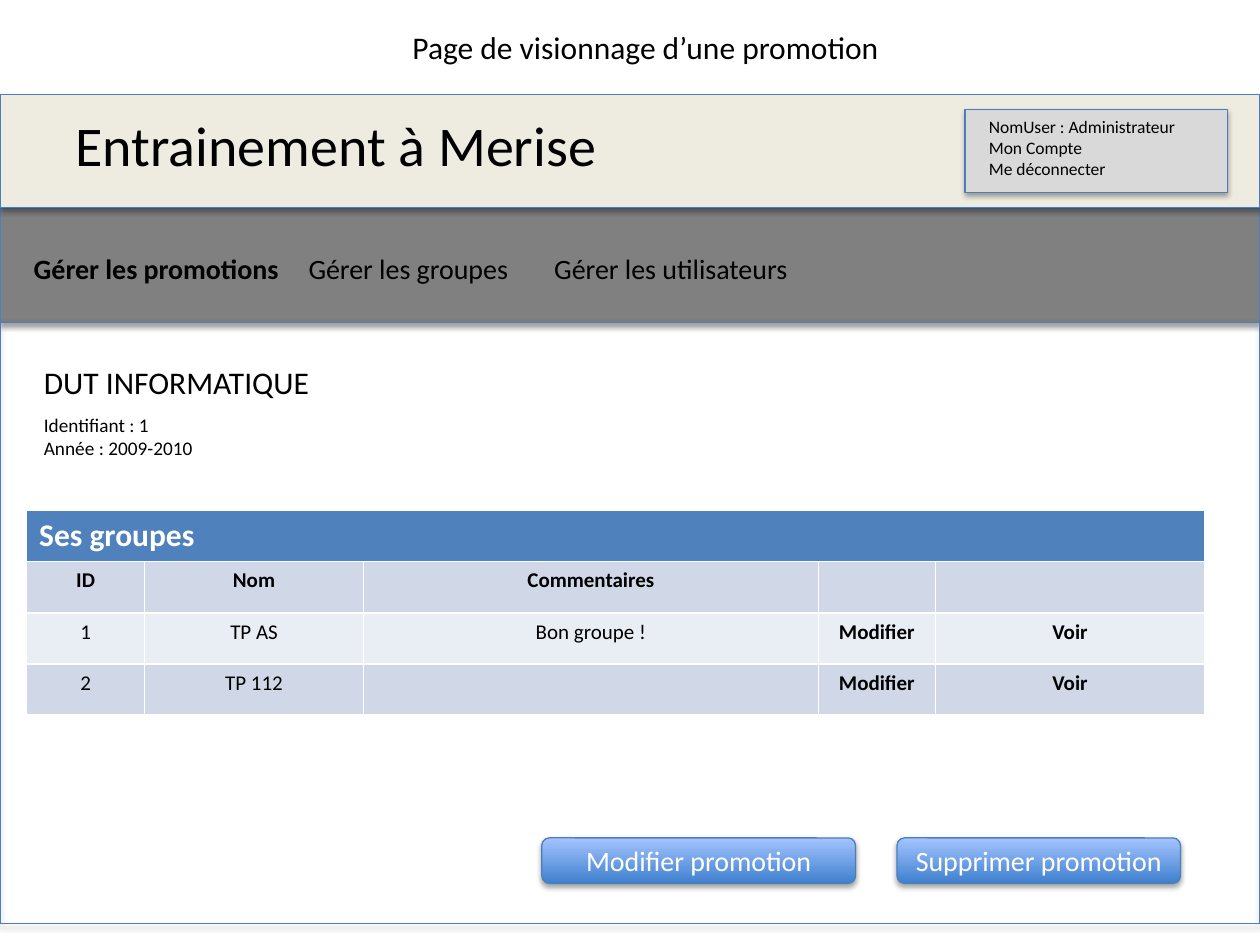
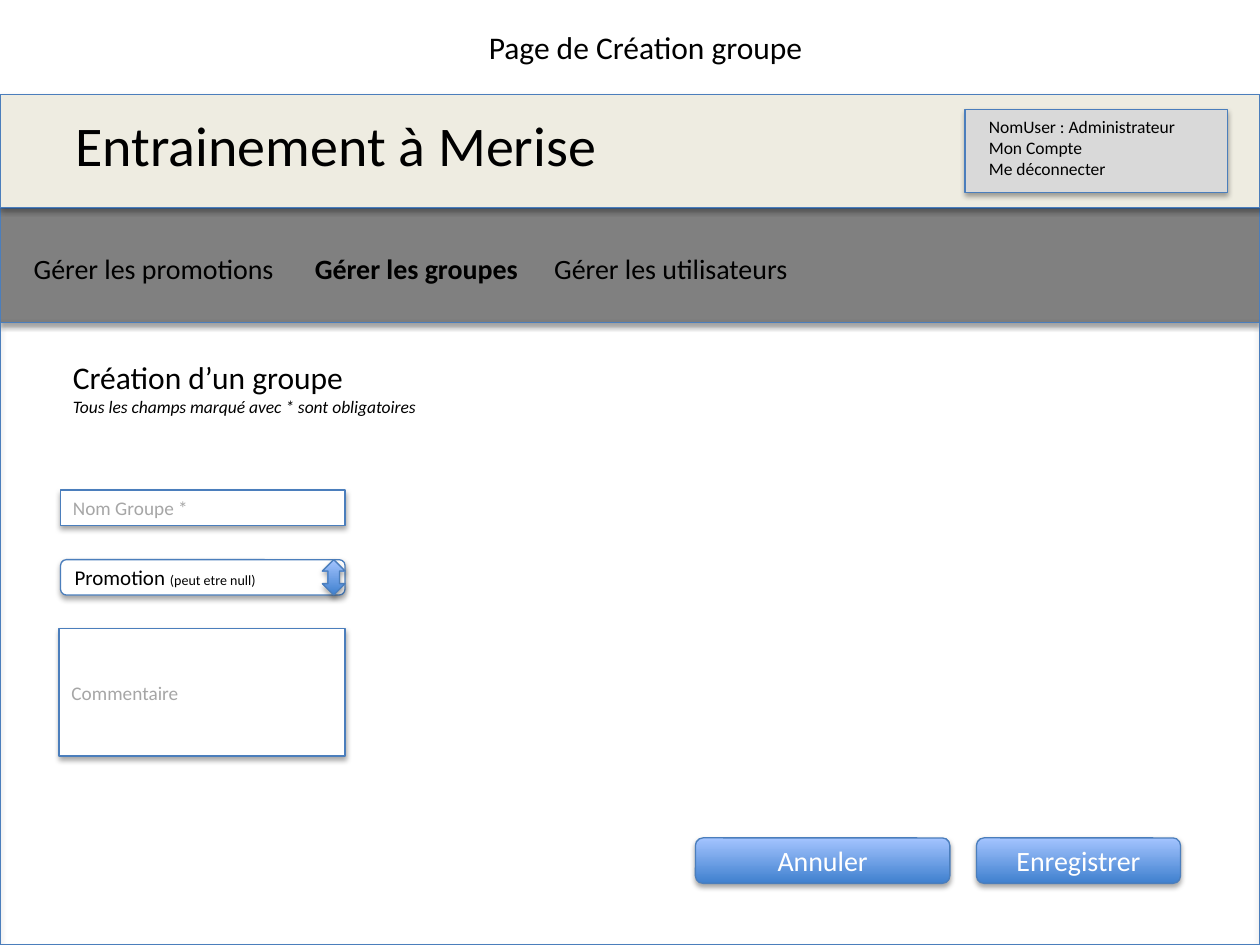
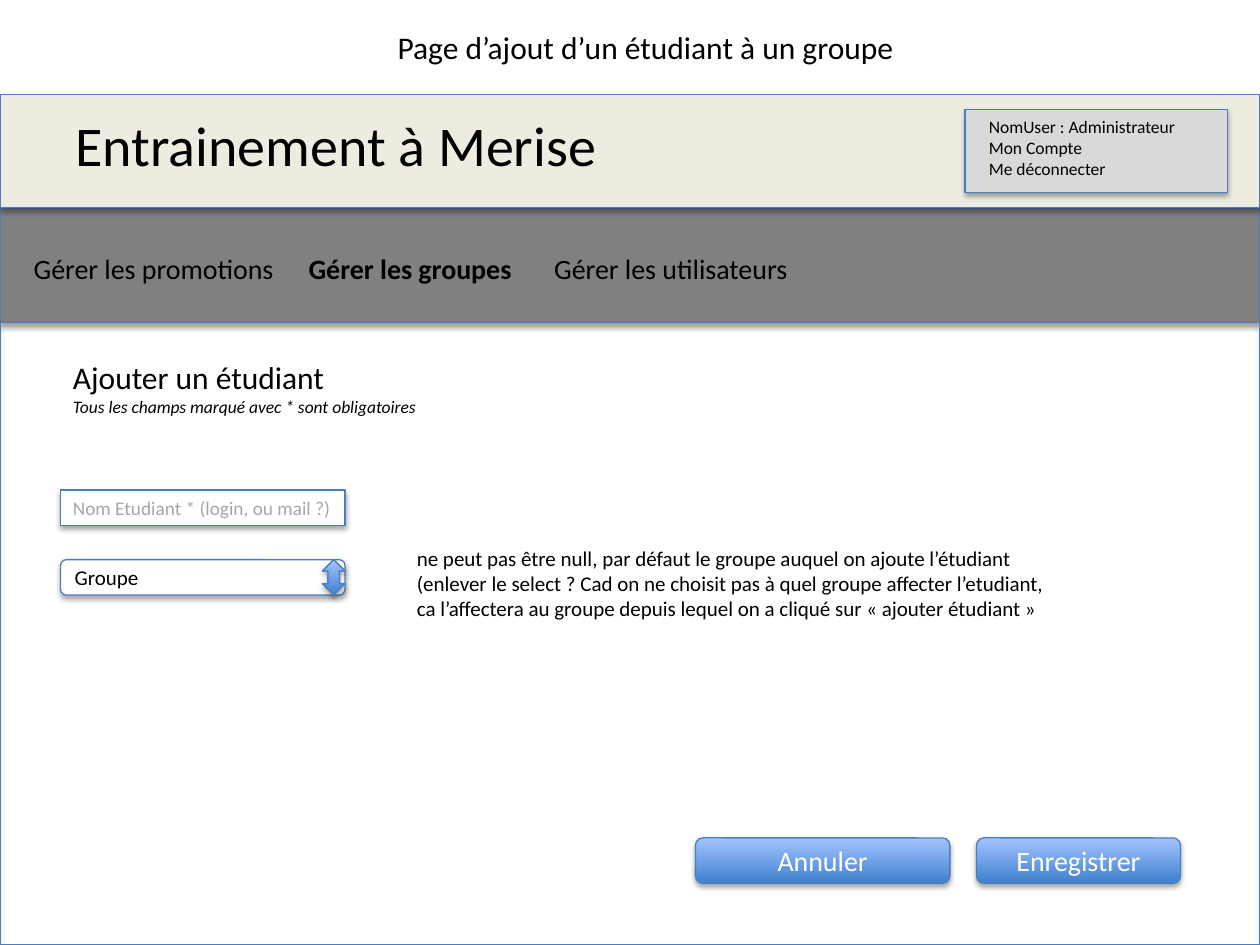
from lxml.etree import SubElement
from pptx import Presentation
from pptx.dml.color import RGBColor
from pptx.enum.shapes import MSO_SHAPE
from pptx.enum.text import MSO_ANCHOR, MSO_AUTO_SIZE, PP_ALIGN
from pptx.oxml.ns import qn
from pptx.util import Pt

FONT = "Calibri"
BLACK, WHITE, HINT = "000000", "FFFFFF", "A6A6A6"
LINE, NAV, BANNER, ACCOUNT = "4B7EBC", "808080", "EEECE1", "D9D9D9"
BUTTON = ("3F80CE", "A4C4FF")
HEADER, BAND_DARK, BAND_LIGHT = "4F81BD", "D0D8E8", "E9EDF4"
BANNER_TOP, NAV_TOP, BODY_TOP = 54, 118.8, 184.3
BUTTON_TOP, BUTTON_H = 478.8, 26
FIELD_X, FIELD_W, FIELD_H = 34.6, 162.6, 20.2


def write(tf, text, size=16, color=BLACK, bold=False, italic=False,
          align=PP_ALIGN.LEFT, same_line=False):
    p = tf.paragraphs[-1]
    if p.runs and not same_line:
        p = tf.add_paragraph()
    p.alignment = align
    for i, line in enumerate(text.split("\n")):
        if i:
            p.add_line_break()
        r = p.add_run()
        r.text = line
        r.font.name, r.font.size = FONT, Pt(size)
        r.font.bold, r.font.italic = bold, italic
        r.font.color.rgb = RGBColor.from_string(color)


def draw(s, x, y, w, h, kind=None, fill=None):
    at = [Pt(v) for v in (x, y, w, h)]
    if kind is None:
        sp = s.shapes.add_textbox(*at)
        sp.text_frame.word_wrap = True
        return sp.text_frame
    sp = s.shapes.add_shape(kind, *at)
    if fill is None:
        sp.fill.background()
    elif fill == BUTTON:
        sp.fill.gradient()
        sp.fill.gradient_angle = 90
        for stop, color in zip(sp.fill.gradient_stops, fill):
            stop.color.rgb = RGBColor.from_string(color)
    else:
        sp.fill.solid()
        sp.fill.fore_color.rgb = RGBColor.from_string(fill)
    sp.line.color.rgb = RGBColor.from_string(LINE)
    sp.line.width = Pt(0.75)
    sp.shadow.inherit = False
    effects = sp._element.spPr.find(qn("a:effectLst"))
    shadow = SubElement(effects, qn("a:outerShdw"), blurRad=str(Pt(3.1)),
                        dist=str(Pt(1.8)), dir="5400000", rotWithShape="0")
    color = SubElement(shadow, qn("a:srgbClr"), val=BLACK)
    SubElement(color, qn("a:alpha"), val="35000")
    sp.text_frame.vertical_anchor = MSO_ANCHOR.MIDDLE
    return sp.text_frame


prs = Presentation()
prs.slide_width, prs.slide_height = Pt(720), Pt(540)

cancel_save = [("Annuler", 397.4, 145.4), ("Enregistrer", 558, 116.6)]
pages = [
    ("Page de visionnage d’une promotion", 0, 169.2, 343.4,
     [("Modifier promotion", 309.6, 179.3), ("Supprimer promotion", 512.6, 162)]),
    ("Page de Création groupe", 1, 172.8, 355.7, cancel_save),
    ("Page d’ajout d’un étudiant à un groupe", 1, 169.2, 355.7, cancel_save),
]
for title, active, groups_x, body_h, buttons in pages:
    s = prs.slides.add_slide(prs.slide_layouts[5])
    sp = s.shapes.title
    sp.left, sp.top, sp.width, sp.height = Pt(138.2), Pt(12.2), Pt(461.5), Pt(28.8)
    tf = sp.text_frame
    tf.auto_size = MSO_AUTO_SIZE.NONE
    tf.vertical_anchor = MSO_ANCHOR.TOP
    write(tf, title, size=18, align=PP_ALIGN.CENTER)

    draw(s, 0, NAV_TOP, 720, BODY_TOP - NAV_TOP, MSO_SHAPE.RECTANGLE, NAV)
    draw(s, 0, BANNER_TOP, 720, NAV_TOP - BANNER_TOP, MSO_SHAPE.RECTANGLE, BANNER)
    write(draw(s, 36, 59.8, 318.2, 46), "Entrainement à Merise", size=32)

    draw(s, 551.5, 62.6, 149.8, 47.5, MSO_SHAPE.RECTANGLE, ACCOUNT)
    tf = draw(s, 558, 62.6, 123, 44)
    for line in ("NomUser : Administrateur", "Mon Compte", "Me déconnecter"):
        write(tf, line, size=10)

    tabs = [("promotions", 12.2), ("groupes", groups_x), ("utilisateurs", 309.6)]
    for i, (name, x) in enumerate(tabs):
        write(draw(s, x, 140.4, 178, 26.6), f"Gérer les {name}", bold=i == active)

    draw(s, 0, BODY_TOP, 720, body_h, MSO_SHAPE.RECTANGLE)
    for label, x, w in buttons:
        tf = draw(s, x, BUTTON_TOP, w, BUTTON_H, MSO_SHAPE.ROUNDED_RECTANGLE, BUTTON)
        write(tf, label, color=WHITE, align=PP_ALIGN.CENTER)

view, creation, addition = prs.slides

write(draw(view, 18, 203.8, 195.8, 28.8), "DUT INFORMATIQUE", size=18)
tf = draw(view, 18, 232.6, 172, 33.8)
for line in ("Identifiant : 1", "Année : 2009-2010"):
    write(tf, line, size=11)

rows = [
    ["Ses groupes", "", "", "", ""],
    ["ID", "Nom", "Commentaires", "", ""],
    ["1", "TP AS", "Bon groupe !", "Modifier", "Voir"],
    ["2", "TP 112", "", "Modifier", "Voir"],
]
widths = [67.5, 125, 260, 66.8, 154]
row_h = 29.2
table = view.shapes.add_table(len(rows), len(widths), Pt(15.2), Pt(291.8),
                              Pt(sum(widths)), Pt(row_h * len(rows))).table
for col, w in zip(table.columns, widths):
    col.width = Pt(w)
table.cell(0, 0).merge(table.cell(0, len(widths) - 1))
for i, row in enumerate(rows):
    table.rows[i].height = Pt(row_h)
    fill = HEADER if i == 0 else BAND_DARK if i % 2 else BAND_LIGHT
    for j, text in enumerate(row):
        cell = table.cell(i, j)
        cell.fill.solid()
        cell.fill.fore_color.rgb = RGBColor.from_string(fill)
        if text and i == 0:
            write(cell.text_frame, text, size=18, color=WHITE, bold=True)
        elif text:
            write(cell.text_frame, text, size=12, bold=i == 1 or j > 2,
                  align=PP_ALIGN.CENTER)

forms = [
    (creation, "Création d’un groupe", "Nom Groupe *", "Promotion ", "(peut etre null)"),
    (addition, "Ajouter un étudiant", "Nom Etudiant * (login, ou mail ?)", "Groupe", ""),
]
for s, heading, field, choice, remark in forms:
    tf = draw(s, FIELD_X, 200.9, 247, 42.5)
    write(tf, heading, size=18)
    write(tf, "Tous les champs marqué avec * sont obligatoires", size=10, italic=True)

    tf = draw(s, FIELD_X, 280, FIELD_W, FIELD_H, MSO_SHAPE.RECTANGLE, WHITE)
    write(tf, field, size=11, color=HINT)

    tf = draw(s, FIELD_X, 319.8, FIELD_W, FIELD_H, MSO_SHAPE.ROUNDED_RECTANGLE, WHITE)
    write(tf, choice, size=12)
    if remark:
        write(tf, remark, size=8, same_line=True)
    draw(s, 184.2, 319.8, 13, FIELD_H, MSO_SHAPE.UP_DOWN_ARROW, BUTTON)

tf = draw(creation, 33.8, 359.3, 163.4, 72.7, MSO_SHAPE.RECTANGLE, WHITE)
write(tf, "Commentaire", size=11, color=HINT)

tf = draw(addition, 231.1, 308.2, 378, 51)
tf.word_wrap = False
write(tf, "ne peut pas être null, par défaut le groupe auquel on ajoute l’étudiant\n"
          "(enlever le select ? Cad on ne choisit pas à quel groupe affecter l’etudiant, \n"
          "ca l’affectera au groupe depuis lequel on a cliqué sur «\u00a0ajouter étudiant\u00a0»",
      size=12)

prs.save("out.pptx")
